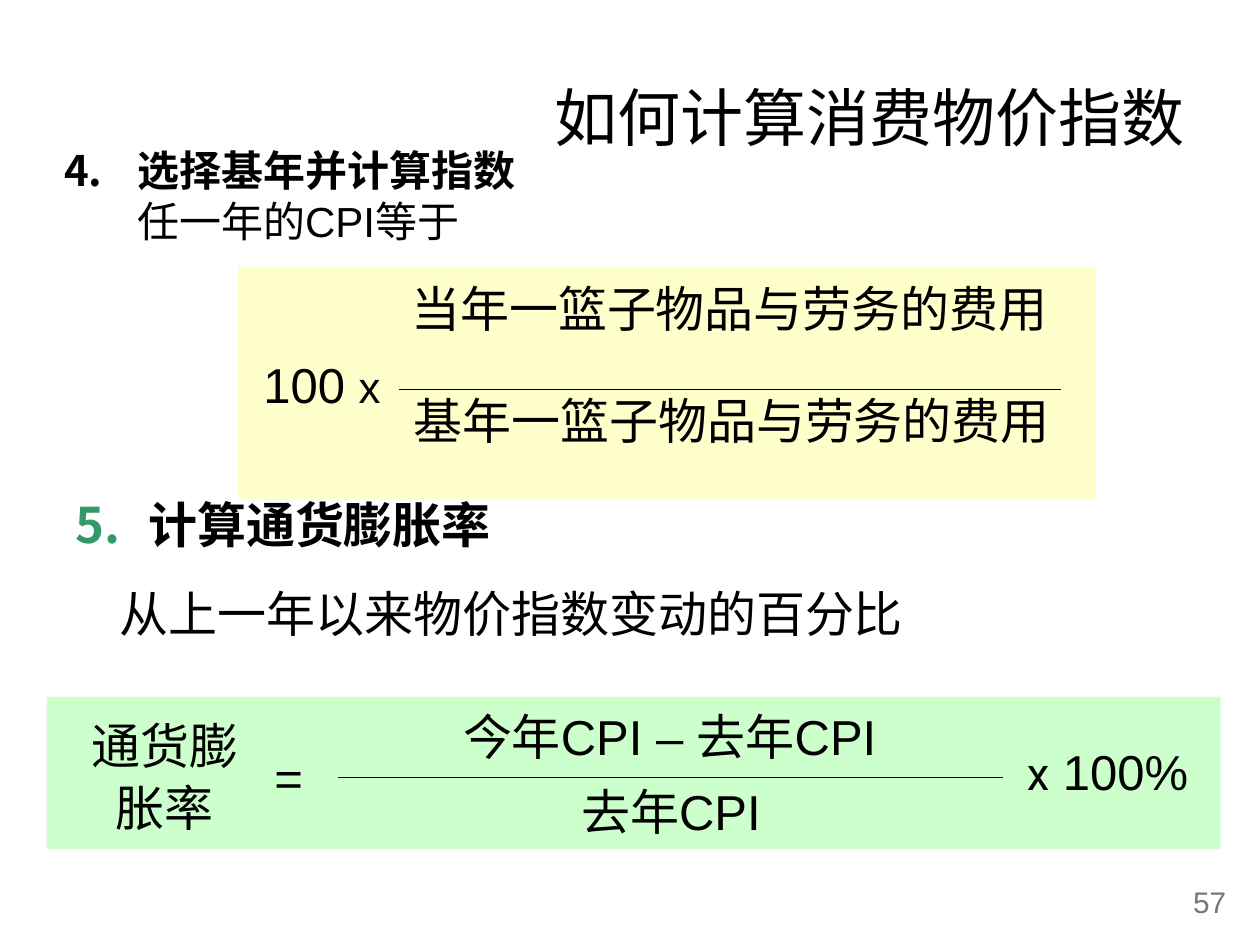
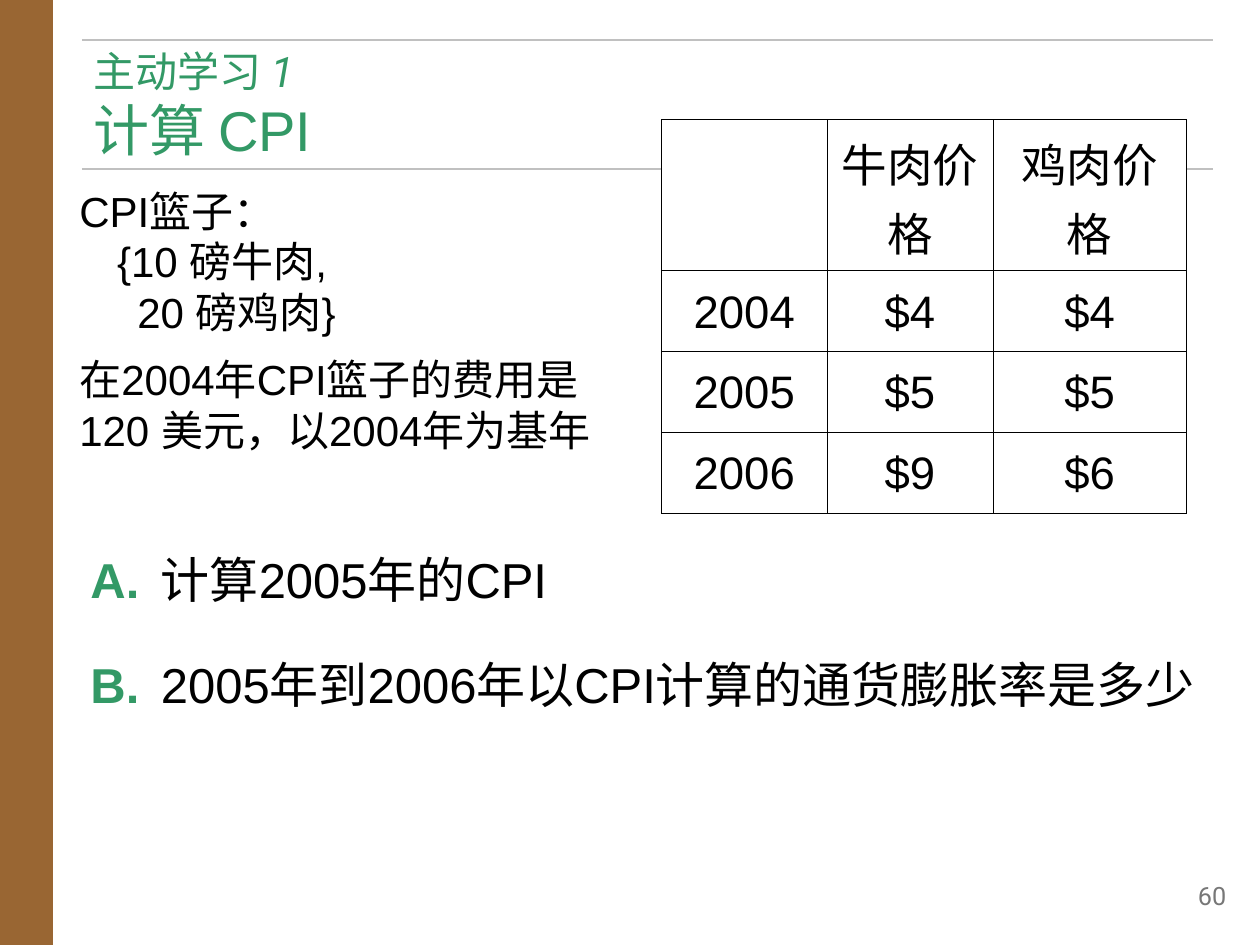
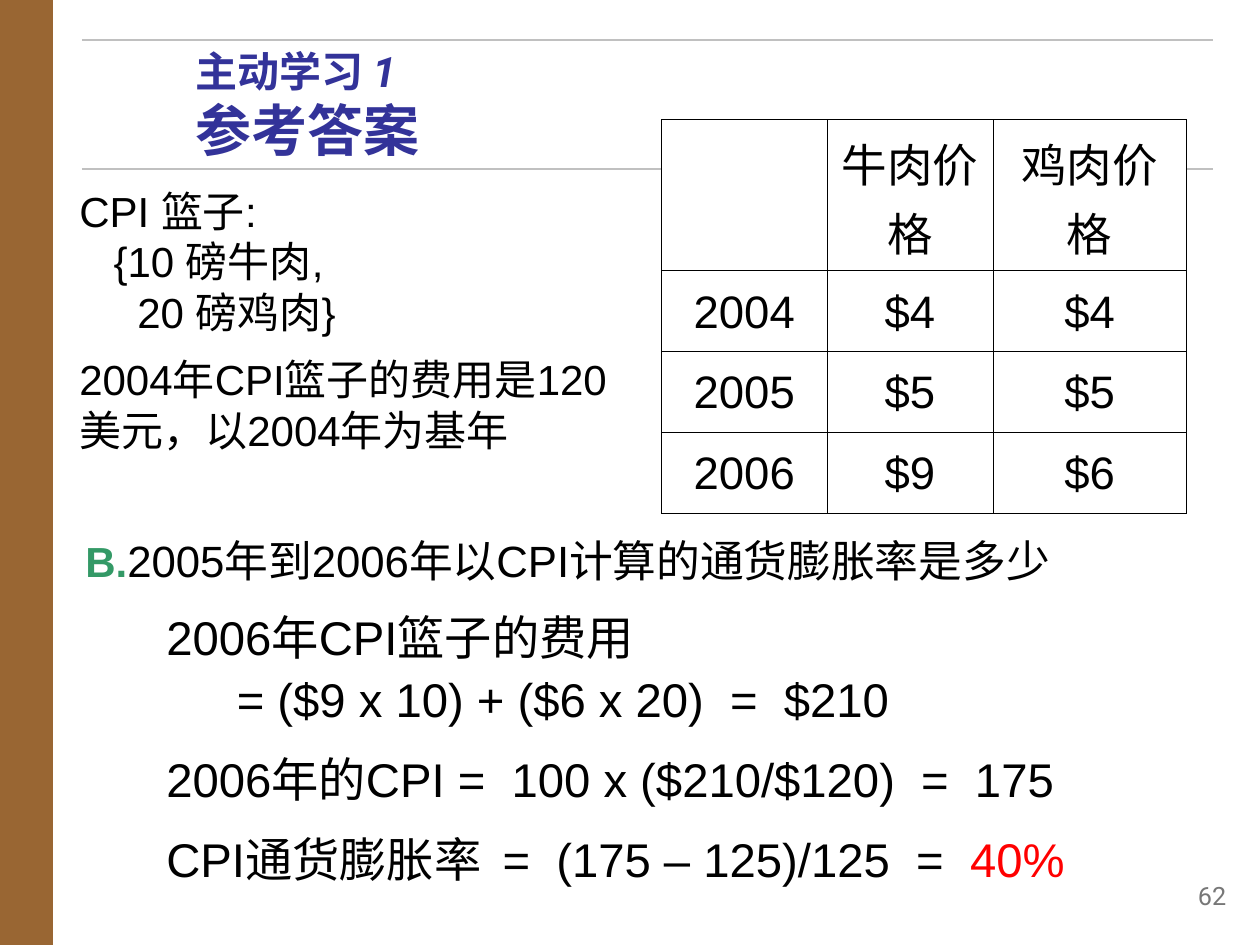
from lxml import etree
from pptx import Presentation
from pptx.dml.color import RGBColor
from pptx.enum.shapes import MSO_CONNECTOR, MSO_SHAPE
from pptx.enum.text import MSO_ANCHOR, MSO_AUTO_SIZE, PP_ALIGN
from pptx.oxml.ns import qn
from pptx.util import Cm, Pt

LEFT, CENTER, RIGHT = PP_ALIGN.LEFT, PP_ALIGN.CENTER, PP_ALIGN.RIGHT
TOP, MIDDLE = MSO_ANCHOR.TOP, MSO_ANCHOR.MIDDLE
RECTANGLE = MSO_SHAPE.RECTANGLE
STRAIGHT = MSO_CONNECTOR.STRAIGHT
NO_AUTOFIT = MSO_AUTO_SIZE.NONE

BLACK, WHITE, RED = "000000", "FFFFFF", "FF0000"
GREEN, INDIGO, BROWN = "339966", "333399", "996633"
PALE_YELLOW, PALE_GREEN = "FFFFCC", "CCFFCC"
RULE_GRAY, NUMBER_GRAY = "C0C0C0", "777777"
BODY_FONT, HEADING_FONT = "Arial", "Roboto"

LAYOUT_TITLE_AND_CONTENT = 1
PRICES = [
    ["", "牛肉价格", "鸡肉价格"],
    ["2004", "$4", "$4"],
    ["2005", "$5", "$5"],
    ["2006", "$9", "$6"],
]


def rgb(color):
    return RGBColor.from_string(color)


def set_font(font, size=None, color=None, name=None, bold=None, italic=None):
    if size is not None:
        font.size = Pt(size)
    if color is not None:
        font.color.rgb = rgb(color)
    if name is not None:
        font.name = name
    if bold is not None:
        font.bold = bold
    if italic is not None:
        font.italic = italic


def set_bullet(paragraph, start, color):
    """Number the paragraph from start, or leave it plain when start is None."""
    properties = paragraph._p.get_or_add_pPr()
    if start is None:
        etree.SubElement(properties, qn("a:buNone"))
        return
    bullet_color = etree.SubElement(properties, qn("a:buClr"))
    etree.SubElement(bullet_color, qn("a:srgbClr"), val=color)
    etree.SubElement(properties, qn("a:buAutoNum"), type="arabicPeriod", startAt=str(start))


def write(frame, *runs, size=28, color=BLACK, name=BODY_FONT, bold=False, align=LEFT,
          before=0, spacing=1.0, indent=0, hanging=0, number=None, number_color=BLACK):
    """Add a paragraph; a run is a string or a (string, font settings) pair."""
    first = frame.paragraphs[0]
    is_first = not first.runs
    paragraph = first if is_first else frame.add_paragraph()
    paragraph.alignment = align
    paragraph.line_spacing = spacing
    paragraph.space_before = Pt(0 if is_first else before)
    properties = paragraph._p.get_or_add_pPr()
    properties.set("marL", str(Cm(indent)))
    properties.set("indent", str(Cm(-hanging)))
    set_bullet(paragraph, number, number_color)
    set_font(paragraph.font, size, color, name, bold)
    for item in runs:
        text, settings = (item, {}) if isinstance(item, str) else item
        for index, line in enumerate(text.split("\n")):
            if index:
                paragraph.add_line_break()
            if line:
                run = paragraph.add_run()
                run.text = line
                set_font(run.font, **settings)


def place(shape, left, top, width, height):
    shape.left, shape.top = Cm(left), Cm(top)
    shape.width, shape.height = Cm(width), Cm(height)


def prepare_frame(shape, anchor=TOP):
    frame = shape.text_frame
    frame.word_wrap = True
    frame.auto_size = NO_AUTOFIT
    frame.vertical_anchor = anchor
    return frame


def fill_placeholder(shape, box, anchor=TOP):
    place(shape, *box)
    return prepare_frame(shape, anchor)


def add_text(slide, box):
    return prepare_frame(slide.shapes.add_textbox(*map(Cm, box)))


def add_panel(slide, box, color):
    panel = slide.shapes.add_shape(RECTANGLE, *map(Cm, box))
    panel.shadow.inherit = False
    panel.fill.solid()
    panel.fill.fore_color.rgb = rgb(color)
    panel.line.fill.background()
    return panel


def add_rule(slide, left, right, y, color, weight):
    rule = slide.shapes.add_connector(STRAIGHT, Cm(left), Cm(y), Cm(right), Cm(y))
    rule.line.color.rgb = rgb(color)
    rule.line.width = Pt(weight)
    etree.SubElement(rule._element.spPr, qn("a:effectLst"))


def add_label(slide, box, *runs, spacing=1.0):
    write(add_text(slide, box), *runs, align=CENTER, spacing=spacing)


def add_fraction(slide, numerator, denominator, bar):
    """Stack two (box, text) pairs around a bar given as left, right and y."""
    for box, text in (numerator, denominator):
        add_label(slide, box, text)
    add_rule(slide, *bar, BLACK, 0.75)


def add_page_number(slide, number, **style):
    frame = add_text(slide, (23.06, 17.7, 1.91, 1.02))
    write(frame, number, color=NUMBER_GRAY, align=RIGHT, **style)


def set_borders(cell):
    properties = cell._tc.get_or_add_tcPr()
    for position, side in enumerate(("a:lnL", "a:lnR", "a:lnT", "a:lnB")):
        border = etree.Element(qn(side), w=str(Pt(0.45)))
        fill = etree.SubElement(border, qn("a:solidFill"))
        etree.SubElement(fill, qn("a:srgbClr"), val=BLACK)
        properties.insert(position, border)


def add_price_table(slide):
    widths, heights = (3.33, 3.35, 3.89), (2.79, 1.63, 1.63, 1.63)
    table = slide.shapes.add_table(
        len(heights), len(widths), Cm(13.34), Cm(2.41), Cm(sum(widths)), Cm(sum(heights))).table
    for column, width in zip(table.columns, widths):
        column.width = Cm(width)
    for row, height, values in zip(table.rows, heights, PRICES):
        row.height = Cm(height)
        for cell, value in zip(row.cells, values):
            cell.fill.solid()
            cell.fill.fore_color.rgb = rgb(WHITE)
            cell.vertical_anchor = MIDDLE
            set_borders(cell)
            if value:
                write(cell.text_frame, value, size=26, align=CENTER, spacing=1.05)


def add_slide(presentation):
    return presentation.slides.add_slide(presentation.slide_layouts[LAYOUT_TITLE_AND_CONTENT])


def add_activity_slide(presentation, heading, title_left, color, bold, page):
    """Start an active-learning slide: side band, ruled title, price table, number."""
    slide = add_slide(presentation)
    add_panel(slide, (0, 0, 1.07, 19.05), BROWN)
    title = fill_placeholder(slide.shapes.title, (title_left, 0.91, 24.43 - title_left, 2.31))
    title.margin_top = title.margin_bottom = 0
    write(title, "主动学习 ", ("1", {"italic": True}),
          ("\n" + heading, {"size": 32, "name": BODY_FONT}),
          size=24, color=color, name=HEADING_FONT, bold=bold)
    for y in (0.81, 3.4):
        add_rule(slide, 1.65, 24.46, y, RULE_GRAY, 1)
    add_price_table(slide)
    add_page_number(slide, page, size=14.4, name=HEADING_FONT, spacing=0.9)
    return slide


def add_basket(slide, width, heading, beef_indent, base_year):
    frame = add_text(slide, (1.35, 3.61, width, 6.9))
    write(frame, heading, size=24)
    write(frame, "{10 磅牛肉,", size=24, indent=beef_indent)
    write(frame, "20 磅鸡肉}", size=24, indent=1.17)
    write(frame, base_year, size=24, before=9.8)


def build_index_slide(presentation):
    slide = add_slide(presentation)
    add_page_number(slide, "57", size=17)
    title = fill_placeholder(slide.shapes.title, (1.27, 0.76, 22.86, 3.18), MIDDLE)
    write(title, "如何计算消费物价指数", size=36, align=RIGHT)
    step_four = fill_placeholder(slide.placeholders[1], (1.04, 2.79, 23.09, 3.1))
    write(step_four, ("选择基年并计算指数", {"bold": True}), "\n任一年的CPI等于",
          size=24, indent=1.47, hanging=1.47, number=4)

    step_five = add_text(slide, (1.27, 9.78, 22.86, 4.42))
    write(step_five, "计算通货膨胀率", bold=True, spacing=1.05,
          indent=1.47, hanging=1.47, number=5, number_color=GREEN)
    write(step_five, "从上一年以来物价指数变动的百分比", before=15.8, spacing=1.05, indent=0.9)

    index_panel = add_panel(slide, (4.8, 5.38, 17.3, 4.7), PALE_YELLOW)
    index_frame = prepare_frame(index_panel, MIDDLE)
    index_frame.margin_left = Cm(0.51)
    write(index_frame, "100 ", ("x", {"size": 25}))
    add_fraction(slide,
                 ((7.82, 5.49, 13.77, 1.45), "当年一篮子物品与劳务的费用"),
                 ((8.03, 7.75, 13.44, 1.45), "基年一篮子物品与劳务的费用"),
                 (8.05, 21.39, 7.85))

    add_panel(slide, (0.94, 14.05, 23.67, 3.07), PALE_GREEN)
    add_fraction(slide,
                 ((6.58, 14.12, 13.84, 1.45), "今年CPI – 去年CPI"),
                 ((6.78, 15.62, 13.49, 1.45), "去年CPI"),
                 (6.81, 20.22, 15.67))
    add_label(slide, (1.3, 14.25, 4.04, 2.74), "通货膨胀率", spacing=1.05)
    add_label(slide, (5.21, 14.94, 1.22, 1.45), "=")
    add_label(slide, (20.19, 14.83, 4.27, 1.45),
              ("x", {"size": 26, "name": HEADING_FONT}), " 100%")


def build_question_slide(presentation):
    slide = add_activity_slide(presentation, "计算 CPI", 1.63, GREEN, False, "60")
    add_basket(slide, 11.35, "CPI篮子：", 0.76, "在2004年CPI篮子的费用是120 美元，以2004年为基年")
    questions = fill_placeholder(slide.placeholders[1], (1.57, 10.9, 22.83, 5.51))
    for letter, question in (("A.", "计算2005年的CPI"),
                             ("B.", "2005年到2006年以CPI计算的通货膨胀率是多少")):
        write(questions, (letter + "\t", {"color": GREEN, "bold": True}), question,
              before=24.5, spacing=1.05, indent=1.42, hanging=1.42)


def build_answer_slide(presentation):
    slide = add_activity_slide(presentation, "参考答案", 3.68, INDIGO, True, "62")
    add_basket(slide, 11.71, "CPI 篮子:", 0.69, "2004年CPI篮子的费用是120 美元，以2004年为基年")
    question = add_text(slide, (1.47, 10.72, 22.48, 1.55))
    write(question, ("B.", {"size": 24, "color": GREEN, "bold": True}),
          "2005年到2006年以CPI计算的通货膨胀率是多少",
          size=25, spacing=0.95, indent=1.42, hanging=1.42)
    solution = fill_placeholder(slide.placeholders[1], (3.1, 12.01, 19.86, 6.22))
    for step in (["2006年CPI篮子的费用\n= ($9 x 10) + ($6 x 20)  =  $210"],
                 ["2006年的CPI =  100 x ($210/$120)  =  175"],
                 ["CPI通货膨胀率  =  (175 – 125)/125  =  ", ("40%", {"color": RED})]):
        write(solution, *step, size=27, before=10.1, spacing=1.1, indent=1.42, hanging=1.42)


def main():
    presentation = Presentation()
    presentation.slide_width, presentation.slide_height = Cm(25.4), Cm(19.05)
    build_index_slide(presentation)
    build_question_slide(presentation)
    build_answer_slide(presentation)
    presentation.save("out.pptx")


if __name__ == "__main__":
    main()
